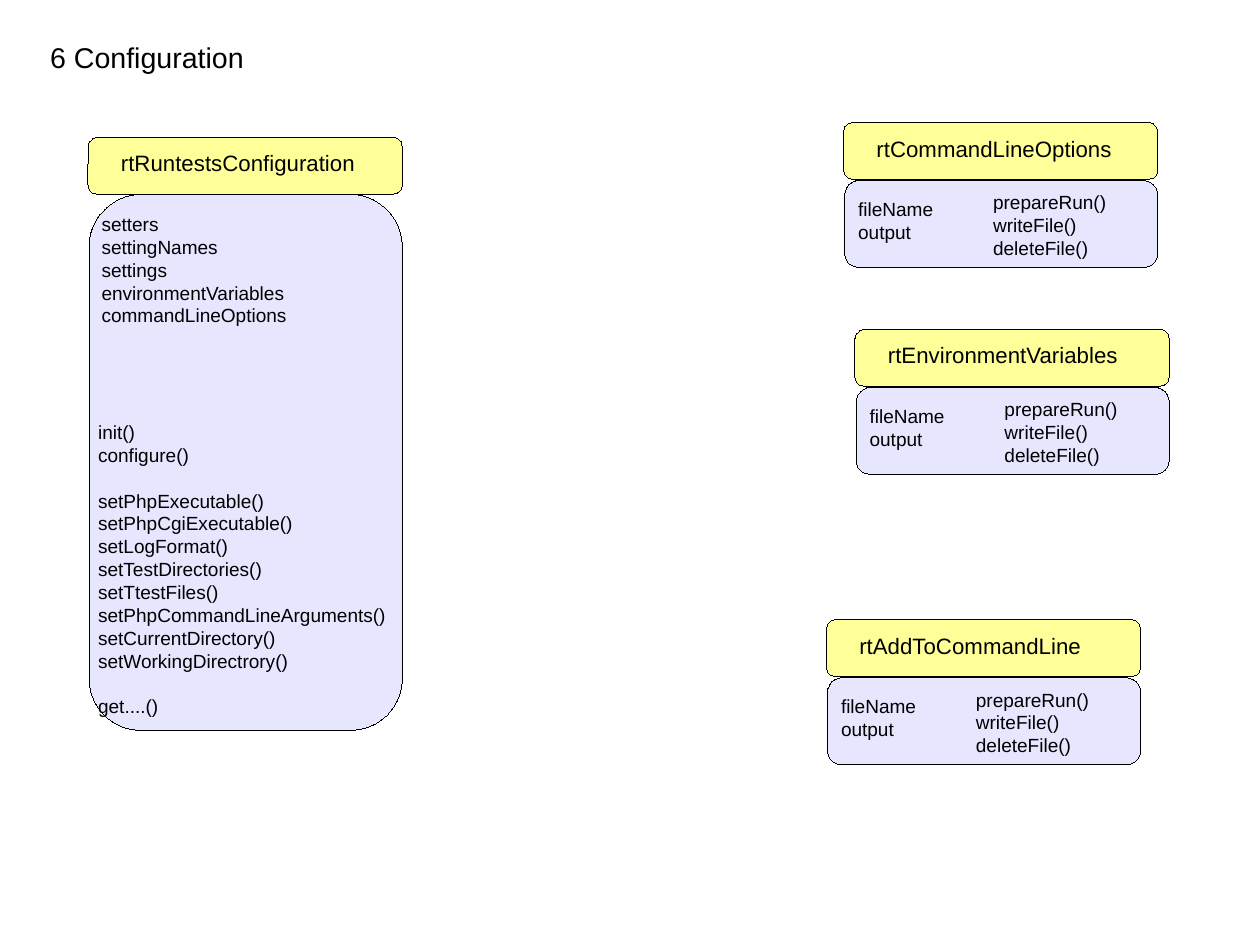
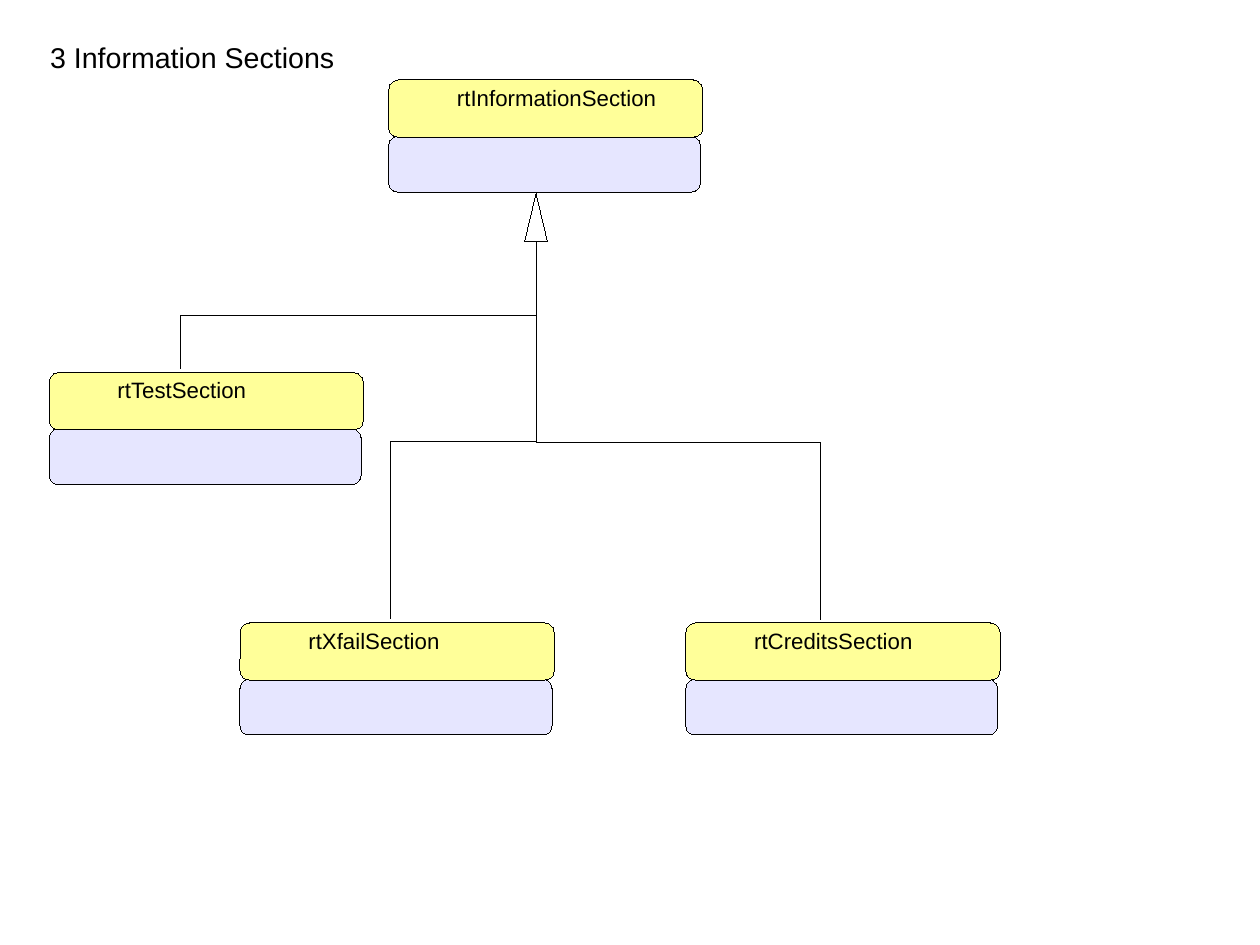
import lxml.etree
import pptx
import pptx.dml.color
import pptx.enum.shapes
import pptx.enum.text
import pptx.oxml.ns
import pptx.util

FONT = "Arial"
BLACK, HEAD, BODY = "000000", "FFFF99", "E6E6FF"
WIDE, HIGH = 27.5, 5
KIND = pptx.enum.shapes.MSO_SHAPE
GAP = 14.4


def cell(count):
    return pptx.util.Inches(count / 10)


def tint(code):
    return pptx.dml.color.RGBColor.from_string(code)


def name_of(tag):
    return pptx.oxml.ns.qn(tag)


def edge(shape):
    shape.line.color.rgb = tint(BLACK)
    shape._element.spPr.find(name_of("a:ln")).set("w", "0")


def box(shapes, kind, left, top, width, height, fill=None):
    shape = shapes.add_shape(kind, cell(left), cell(top), cell(width), cell(height))
    shape.shadow.inherit = False
    if fill:
        shape.fill.solid()
        shape.fill.fore_color.rgb = tint(fill)
    else:
        shape.fill.background()
    edge(shape)


def text(shapes, left, top, width, blocks, size):
    count = sum(len(block) for block in blocks) + len(blocks) - 1
    height = 1 + count * size * 0.16
    area = shapes.add_textbox(cell(left), cell(top), cell(width), cell(height))
    frame = area.text_frame
    frame.word_wrap = True
    frame.vertical_anchor = pptx.enum.text.MSO_ANCHOR.TOP
    fresh = True
    for block in blocks:
        for place, words in enumerate(block):
            para = frame.paragraphs[0] if fresh else frame.add_paragraph()
            if place == 0 and not fresh:
                para.space_before = pptx.util.Pt(GAP)
            fresh = False
            run = para.add_run()
            run.text = words
            run.font.name = FONT
            run.font.size = pptx.util.Pt(size)
            run.font.color.rgb = tint(BLACK)


def card(slide, left, top, name, body, label):
    shapes = slide.shapes.add_group_shape().shapes
    right, down, width, height = body
    box(shapes, KIND.ROUNDED_RECTANGLE, left + right, top + down, width, height, BODY)
    box(shapes, KIND.ROUNDED_RECTANGLE, left, top, WIDE, HIGH, HEAD)
    text(shapes, left + label[0], top + label[1], 25, [[name]], 14)
    return shapes


def branch(slide, start, end, bend):
    (left, top), (right, low) = start, end
    mid_x, mid_y = (left + right) / 2, (top + low) / 2
    half_x, half_y = (low - top) / 2, abs(right - left) / 2
    turn = 90
    if right > left:
        half_x, turn = -half_x, 270
    line = slide.shapes.add_connector(
        pptx.enum.shapes.MSO_CONNECTOR.ELBOW,
        cell(mid_x - half_x), cell(mid_y - half_y),
        cell(mid_x + half_x), cell(mid_y + half_y))
    edge(line)
    props = line._element.spPr
    props.xfrm.rot = turn
    guide = lxml.etree.SubElement(
        props.find(".//" + name_of("a:avLst")), name_of("a:gd"))
    guide.set("name", "adj1")
    guide.set("fmla", f"val {round((bend - top) / (low - top) * 100000)}")
    lxml.etree.SubElement(props, name_of("a:effectLst"))


def page(deck, title):
    slide = deck.slides.add_slide(deck.slide_layouts[6])
    text(slide.shapes, 3.4, 3, 28, [[title]], 18)
    return slide


def setup(deck):
    slide = page(deck, "6 Configuration")
    label = (1.9, 0.6)
    shapes = card(slide, 7.7, 12, "rtRuntestsConfiguration", (0.1, 5, 27.4, 46.9), label)
    text(shapes, 7.9, 18.1, 20, [[
        "setters", "settingNames", "settings",
        "environmentVariables", "commandLineOptions"]], 12)
    text(shapes, 7.6, 36.3, 28.5, [
        ["init()", "configure()"],
        ["setPhpExecutable()", "setPhpCgiExecutable()", "setLogFormat()",
         "setTestDirectories()", "setTtestFiles()", "setPhpCommandLineArguments()",
         "setCurrentDirectory()", "setWorkingDirectrory()"],
        ["get....()"]], 12)
    for left, top, name in (
            (73.8, 10.7, "rtCommandLineOptions"),
            (74.8, 28.8, "rtEnvironmentVariables"),
            (72.3, 54.2, "rtAddToCommandLine")):
        shapes = card(slide, left, top, name, (0.1, 5.1, 27.4, 7.6), label)
        text(shapes, left + 0.3, top + 6.1, 10, [["fileName", "output"]], 12)
        text(shapes, left + 12.1, top + 5.5, 14.4,
             [["prepareRun()", "writeFile()", "deleteFile()"]], 12)


def tree(deck):
    slide = page(deck, "3 Information Sections")
    for left, top, name in (
            (34, 7, "rtInformationSection"),
            (4.3, 32.6, "rtTestSection"),
            (21, 54.5, "rtXfailSection"),
            (60, 54.5, "rtCreditsSection")):
        card(slide, left, top, name, (0, 4.9, 27.3, 4.9), (5, -0.15))
    box(slide.shapes, KIND.ISOSCELES_TRIANGLE, 45.9, 16.9, 2, 4.2)
    for end, bend in (((15.8, 32.2), 27.6), ((34.2, 54.1), 38.6), ((71.8, 54.2), 38.7)):
        branch(slide, (46.9, 21.1), end, bend)


def main():
    deck = pptx.Presentation()
    deck.slide_width, deck.slide_height = pptx.util.Cm(28), pptx.util.Cm(21)
    setup(deck)
    tree(deck)
    deck.save("out.pptx")


if __name__ == "__main__":
    main()
